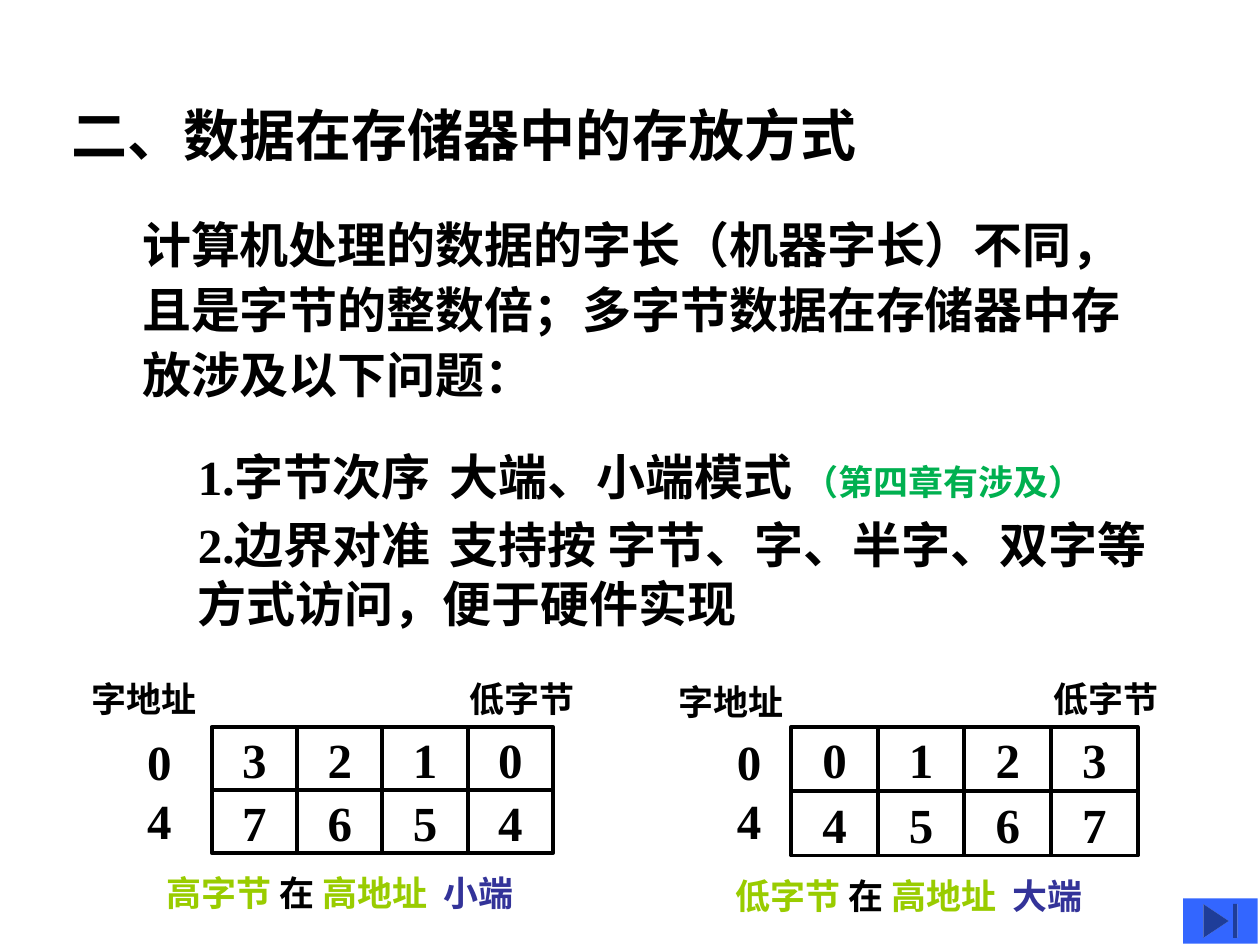
import pptx
import pptx.dml.color
import pptx.enum.shapes
import pptx.enum.text
import pptx.oxml
import pptx.oxml.ns
import pptx.util

Inches = pptx.util.Inches
Pt = pptx.util.Pt
ALIGN = pptx.enum.text.PP_ALIGN
ANCHOR = pptx.enum.text.MSO_ANCHOR
SHAPE = pptx.enum.shapes.MSO_SHAPE

FONT = "Times New Roman"
BLACK, GREEN, LIME, INDIGO, BLUE = "000000", "00B050", "99CC00", "333399", "3366FF"

TITLE = "二、数据在存储器中的存放方式"
INTRO = "计算机处理的数据的字长（机器字长）不同，且是字节的整数倍；多字节数据在存储器中存放涉及以下问题："
ISSUES = [
    [("1.字节次序\t大端、小端模式 ", 28, BLACK), ("（第四章有涉及）", 20, GREEN)],
    [("2.边界对准\t支持按 字节、字、半字、双字等方式访问，便于硬件实现", 28, BLACK)],
]
WORD_ADDRESSES = ["0", "4"]
PANELS = [
    {
        "grid": (1.68, 5.77, 2.71, 1.0),
        "bytes": ["3210", "7654"],
        "address_label": (0.63, 5.33, 1.05, 0.44),
        "addresses": (1.07, 5.76, 0.39, 1.04),
        "low_label": (3.63, 5.33, 1.35, 0.44),
        "caption": (1.22, 6.87, 3.68, 0.44),
        "order": ("高字节 ", "小端"),
    },
    {
        "grid": (6.28, 5.77, 2.75, 1.02),
        "bytes": ["0123", "4567"],
        "address_label": (5.29, 5.35, 1.03, 0.44),
        "addresses": (5.75, 5.76, 0.39, 1.04),
        "low_label": (8.26, 5.33, 1.38, 0.44),
        "caption": (5.74, 6.89, 3.84, 0.44),
        "order": ("低字节 ", "大端"),
    },
]


def rgb(color):
    return pptx.dml.color.RGBColor.from_string(color)


def place(shape, box):
    shape.left, shape.top, shape.width, shape.height = map(Inches, box)


def set_tab(paragraph, position):
    properties = paragraph._p.get_or_add_pPr()
    namespace = pptx.oxml.ns.nsdecls("a")
    properties.append(pptx.oxml.parse_xml(
        f'<a:tabLst {namespace}><a:tab pos="{Inches(position)}" algn="l"/></a:tabLst>'))


def remove_bullet(paragraph):
    properties = paragraph._p.get_or_add_pPr()
    properties.set("marL", "0")
    properties.set("indent", "0")
    properties.append(pptx.oxml.parse_xml(f'<a:buNone {pptx.oxml.ns.nsdecls("a")}/>'))


def write(shape, paragraphs, align=ALIGN.LEFT, anchor=ANCHOR.TOP, wrap=True):
    """Fill a shape with paragraphs, each a list of (text, size, color) runs."""
    frame = shape.text_frame
    frame.word_wrap = wrap
    frame.auto_size = pptx.enum.text.MSO_AUTO_SIZE.NONE
    frame.vertical_anchor = anchor
    for index, runs in enumerate(paragraphs):
        paragraph = frame.add_paragraph() if index else frame.paragraphs[0]
        paragraph.alignment = align
        paragraph.space_before = Pt(0)
        for text, size, color in runs:
            run = paragraph.add_run()
            run.text = text
            run.font.name = FONT
            run.font.size = Pt(size)
            run.font.bold = True
            run.font.color.rgb = rgb(color)
    return frame.paragraphs


def add_text(slide, box, paragraphs, wrap=True):
    return write(slide.shapes.add_textbox(*map(Inches, box)), paragraphs, wrap=wrap)


def add_shape(slide, kind, box):
    shape = slide.shapes.add_shape(kind, *map(Inches, box))
    shape.shadow.inherit = False
    return shape


def add_grid(slide, box, rows):
    left, top, width, height = box
    cell_width, cell_height = width / len(rows[0]), height / len(rows)
    for row, digits in enumerate(rows):
        for column, digit in enumerate(digits):
            cell = add_shape(slide, SHAPE.RECTANGLE, (
                left + column * cell_width, top + row * cell_height, cell_width, cell_height))
            cell.fill.background()
            cell.line.color.rgb = rgb(BLACK)
            cell.line.width = Pt(2.25)
            write(cell, [[(digit, 28, BLACK)]], ALIGN.CENTER, ANCHOR.MIDDLE, False)


def add_panel(slide, panel):
    add_grid(slide, panel["grid"], panel["bytes"])
    add_text(slide, panel["address_label"], [[("字地址", 20, BLACK)]], False)
    add_text(slide, panel["addresses"], [[(word, 28, BLACK)] for word in WORD_ADDRESSES], False)
    add_text(slide, panel["low_label"], [[("低字节", 20, BLACK)]])
    byte, mode = panel["order"]
    caption = add_text(slide, panel["caption"], [[
        (byte, 20, LIME), ("在", 20, BLACK), (" 高地址\t", 20, LIME), (mode, 20, INDIGO)]])
    set_tab(caption[0], 2.2)


def main():
    presentation = pptx.Presentation()
    presentation.slide_width, presentation.slide_height = Inches(10), Inches(7.5)
    slide = presentation.slides.add_slide(presentation.slide_layouts[1])

    title, body = slide.shapes.title, slide.placeholders[1]
    place(title, (0.47, 0.75, 7.13, 0.64))
    write(title, [[(TITLE, 32, BLACK)]])

    intro = add_text(slide, (1.03, 1.61, 8.34, 1.64), [[(INTRO, 28, BLACK)]])
    intro[0].line_spacing = 1.1

    place(body, (1.47, 3.26, 7.86, 1.81))
    issues = write(body, ISSUES)
    for paragraph in issues:
        remove_bullet(paragraph)
        set_tab(paragraph, 2.3)
    issues[0].line_spacing = 1.5
    issues[1].space_before = Pt(5.2)

    for panel in PANELS:
        add_panel(slide, panel)

    button = add_shape(slide, SHAPE.ACTION_BUTTON_END, (9.39, 7.13, 0.59, 0.36))
    button.fill.solid()
    button.fill.fore_color.rgb = rgb(BLUE)
    button.line.fill.background()

    presentation.save("out.pptx")


if __name__ == "__main__":
    main()
